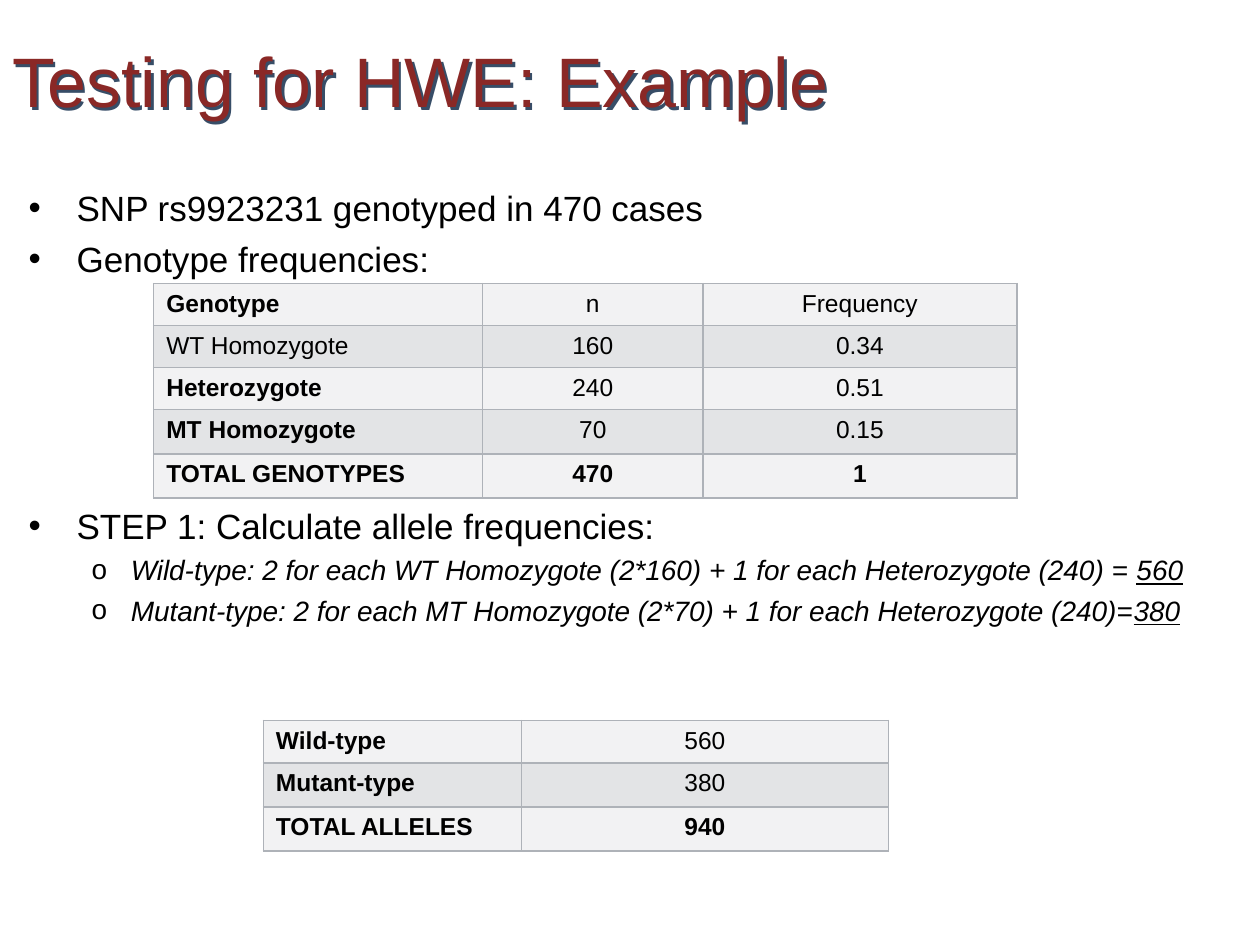
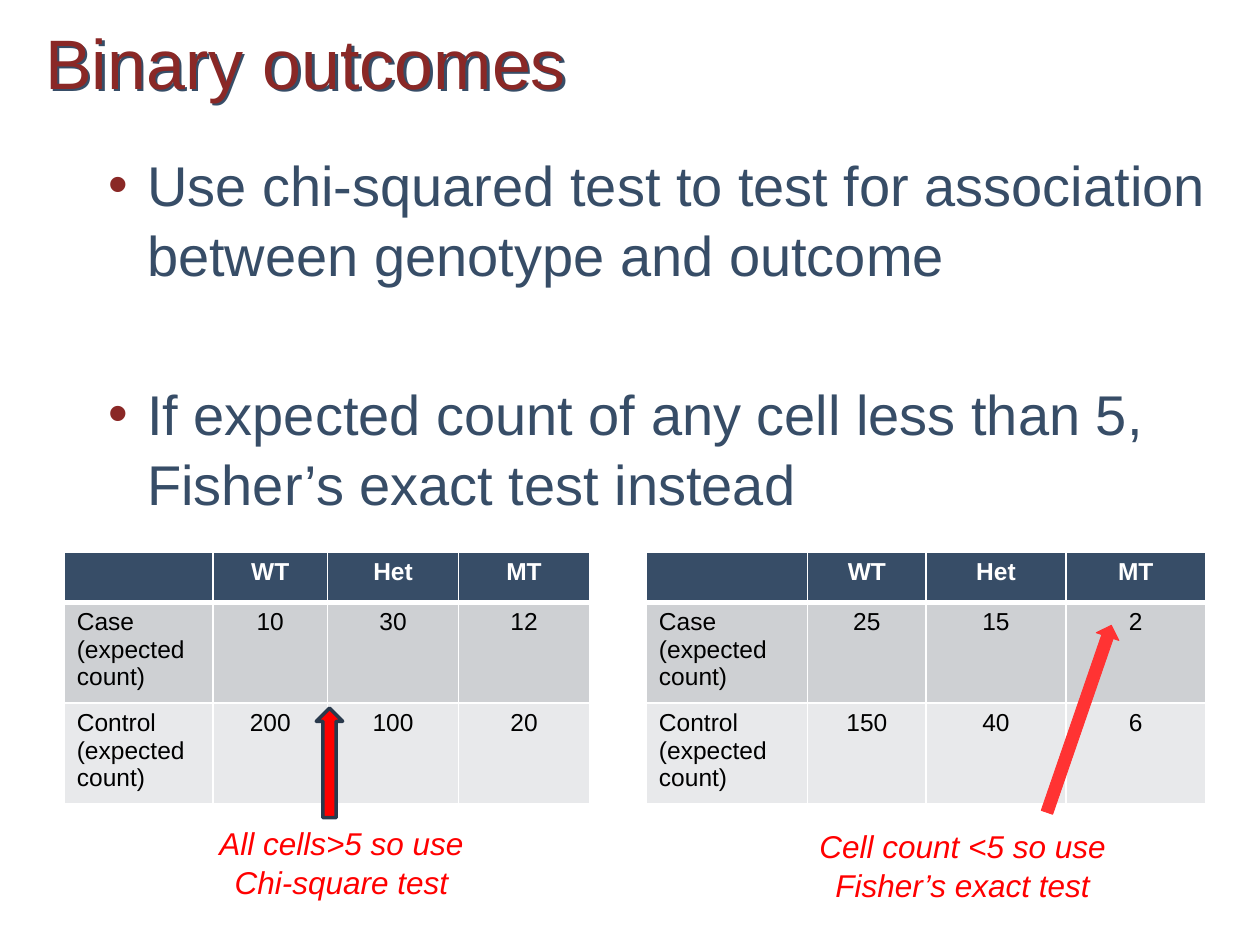
import pptx
import pptx.util
import pptx.dml.color
import pptx.enum.shapes
import pptx.enum.text
import pptx.oxml
import pptx.oxml.ns

Inches, Pt = pptx.util.Inches, pptx.util.Pt
RGBColor = pptx.dml.color.RGBColor
ALIGN = pptx.enum.text.PP_ALIGN
ANCHOR = pptx.enum.text.MSO_ANCHOR
UP_ARROW = pptx.enum.shapes.MSO_SHAPE.UP_ARROW

FONT = "Arial"
MAROON = RGBColor(0x8A, 0x28, 0x26)
NAVY = RGBColor(0x37, 0x4D, 0x67)
DARK_NAVY = RGBColor(0x29, 0x39, 0x4C)
BLACK = RGBColor(0, 0, 0)
WHITE = RGBColor(0xFF, 0xFF, 0xFF)
RED = RGBColor(0xFF, 0, 0)
LIGHT_RED = RGBColor(0xFF, 0x33, 0x33)
GRID_GRAY = RGBColor(0xAE, 0xB2, 0xB8)
PALE_BANDS = (RGBColor(0xF2, 0xF2, 0xF3), RGBColor(0xE3, 0xE4, 0xE6))
GRAY_BANDS = (RGBColor(0xE8, 0xE9, 0xEB), RGBColor(0xCE, 0xD0, 0xD3))

# Paragraphs: text (or runs of text and underline) and what sets each one apart
STEP = dict(size=20, bullet="•", margin=0.38, hanging=0.38)
SUBSTEP = dict(size=16, italic=True, bullet="o", margin=0.81, hanging=0.31,
               before=3.9)
HWE_STEPS = [
    ("SNP rs9923231 genotyped in 470 cases", STEP),
    ("Genotype frequencies:", dict(STEP, before=5)),
    ("STEP 1: Calculate allele frequencies:", dict(STEP, before=128.5)),
    ([("Wild-type: 2 for each WT Homozygote (2*160) + 1 for each "
       "Heterozygote (240) = ", False), ("560", True)], SUBSTEP),
    ([("Mutant-type: 2 for each MT Homozygote (2*70) + 1 for each "
       "Heterozygote (240)=", False), ("380", True)], SUBSTEP),
]
TEST = dict(size=32, color=NAVY, bullet="•", bullet_color=MAROON,
            margin=0.81, hanging=0.31, spacing=1.04)
TEST_CHOICES = [
    ("Use chi-squared test to test for association between genotype and "
     "outcome", TEST),
    ("If expected count of any cell less than 5, Fisher’s exact test instead",
     dict(TEST, before=51.4)),
]

# Table rows: cell texts and how many leading cells are bold
GENOTYPES = dict(
    at=(1.22, 2.25), columns=(2.61, 1.75, 2.49),
    heights=(0.32, 0.32, 0.32, 0.35, 0.35),
    rows=[(("Genotype", "n", "Frequency"), 1),
          (("WT Homozygote", "160", "0.34"), 0),
          (("Heterozygote", "240", "0.51"), 1),
          (("MT Homozygote", "70", "0.15"), 1),
          (("TOTAL GENOTYPES", "470", "1"), 3)])
ALLELES = dict(
    at=(2.09, 5.72), columns=(2.05, 2.91), heights=(0.32, 0.35, 0.35),
    rows=[(("Wild-type", "560"), 1),
          (("Mutant-type", "380"), 1),
          (("TOTAL ALLELES", "940"), 2)])


def outcome_table(at, columns, header_height, cases, controls):
    return dict(
        at=at, columns=columns, heights=(header_height, 0.75, 0.75),
        rows=[(("", "WT", "Het", "MT"), 4),
              (("Case (expected count)",) + cases, 0),
              (("Control (expected count)",) + controls, 0)])


CHI_SQUARE_COUNTS = outcome_table((0.51, 4.38), (1.18, 0.91, 1.04, 1.04), 0.33,
                                  ("10", "30", "12"), ("200", "100", "20"))
FISHER_COUNTS = outcome_table((5.13, 4.38), (1.28, 0.94, 1.11, 1.11), 0.37,
                              ("25", "15", "2"), ("150", "40", "6"))
VERDICTS = [("All cells>5 so use Chi-square test", (1.45, 6.48)),
            ("Cell count <5 so use Fisher’s exact test", (6.38, 6.5))]
# Arrows: place and size, rotation, fill, outline, outline width
ARROWS = [((2.51, 5.62, 0.21, 0.87), 0, RED, DARK_NAVY, 2),
          ((8.47, 4.92, 0.19, 1.57), 19, LIGHT_RED, LIGHT_RED, 0.5)]


def add_xml(parent, xml):
    declared = xml.replace(" ", f" {pptx.oxml.ns.nsdecls('a')} ", 1)
    parent.append(pptx.oxml.parse_xml(declared))


def write(paragraph, text, size=14, color=BLACK, bold=False, italic=False,
          align=ALIGN.LEFT, before=0, spacing=None, bullet=None,
          bullet_color=BLACK, margin=0, hanging=0):
    paragraph.alignment = align
    paragraph.space_before = Pt(before)
    if spacing:
        paragraph.line_spacing = spacing
    if bullet:
        properties = paragraph._p.get_or_add_pPr()
        properties.set("marL", str(Inches(margin)))
        properties.set("indent", str(-Inches(hanging)))
        add_xml(properties,
                f'<a:buClr ><a:srgbClr val="{bullet_color}"/></a:buClr>')
        add_xml(properties, f'<a:buFont typeface="{FONT}"/>')
        add_xml(properties, f'<a:buChar char="{bullet}"/>')
    for words, underline in [(text, False)] if isinstance(text, str) else text:
        run = paragraph.add_run()
        run.text = words
        font = run.font
        font.name, font.size, font.color.rgb = FONT, Pt(size), color
        font.bold, font.italic, font.underline = bold, italic, underline


def add_text(slide, place, paragraphs, top_inset=0.05, anchor=ANCHOR.TOP):
    box = slide.shapes.add_textbox(*map(Inches, place))
    frame = box.text_frame
    frame.word_wrap = True
    frame.margin_top = Inches(top_inset)
    frame.vertical_anchor = anchor
    for index, (text, style) in enumerate(paragraphs):
        paragraph = frame.add_paragraph() if index else frame.paragraphs[0]
        write(paragraph, text, **style)
    return box


def add_title(slide, text, left, top):
    title = add_text(slide, (left, top, 9.74, 0.55),
                     [(text, dict(size=40, color=MAROON))],
                     anchor=ANCHOR.MIDDLE)
    add_xml(title._element.spPr,
            f'<a:effectLst ><a:outerShdw blurRad="0" dist="{Pt(2)}" '
            f'dir="2700000" algn="tl" rotWithShape="0">'
            f'<a:srgbClr val="{NAVY}"/></a:outerShdw></a:effectLst>')


def style_cell(cell, fill, border, bottom_width):
    for side in "LRTB":
        width = Pt(bottom_width if side == "B" else 1)
        add_xml(cell._tc.get_or_add_tcPr(),
                f'<a:ln{side} w="{width}"><a:solidFill>'
                f'<a:srgbClr val="{border}"/></a:solidFill></a:ln{side}>')
    cell.fill.solid()
    cell.fill.fore_color.rgb = fill


def add_table(slide, content, bands, border, header=False):
    columns, heights, rows = (content[key]
                              for key in ("columns", "heights", "rows"))
    size = (sum(columns), sum(heights))
    table = slide.shapes.add_table(len(rows), len(columns),
                                   *map(Inches, content["at"] + size)).table
    table.first_row = table.horz_banding = False
    for column, width in zip(table.columns, columns):
        column.width = Inches(width)
    for r, (texts, bold_count) in enumerate(rows):
        table.rows[r].height = Inches(heights[r])
        is_header = header and r == 0
        for c, text in enumerate(texts):
            cell = table.cell(r, c)
            style_cell(cell, NAVY if is_header else bands[r % 2], border,
                       3 if is_header else 1)
            write(cell.text_frame.paragraphs[0], text, bold=c < bold_count,
                  color=WHITE if is_header else BLACK,
                  align=ALIGN.CENTER if c else ALIGN.LEFT)


def add_arrow(slide, place, rotation, fill, outline, outline_width):
    arrow = slide.shapes.add_shape(UP_ARROW, *map(Inches, place))
    arrow.shadow.inherit = False
    arrow.rotation = rotation
    arrow.fill.solid()
    arrow.fill.fore_color.rgb = fill
    arrow.line.color.rgb = outline
    arrow.line.width = Pt(outline_width)


def build_hwe_example(slide):
    add_title(slide, "Testing for HWE: Example", 0, 0.36)
    add_text(slide, (0.13, 0.94, 9.74, 5.91), HWE_STEPS, top_inset=0.54)
    for content in (GENOTYPES, ALLELES):
        add_table(slide, content, PALE_BANDS, GRID_GRAY)


def build_binary_outcomes(slide):
    add_title(slide, "Binary outcomes", 0.26, 0.21)
    add_text(slide, (0.26, 1.07, 9.74, 5.91), TEST_CHOICES, top_inset=0.1)
    for content in (CHI_SQUARE_COUNTS, FISHER_COUNTS):
        add_table(slide, content, GRAY_BANDS, WHITE, header=True)
    for arrow in ARROWS:
        add_arrow(slide, *arrow)
    verdict_style = dict(size=18, color=RED, italic=True, align=ALIGN.CENTER,
                         spacing=1.04)
    for text, at in VERDICTS:
        add_text(slide, at + (2.52, 0.71), [(text, verdict_style)])


def main():
    deck = pptx.Presentation()
    deck.slide_width, deck.slide_height = Inches(10), Inches(7.5)
    for build in (build_hwe_example, build_binary_outcomes):
        build(deck.slides.add_slide(deck.slide_layouts[6]))
    deck.save("out.pptx")


if __name__ == "__main__":
    main()
